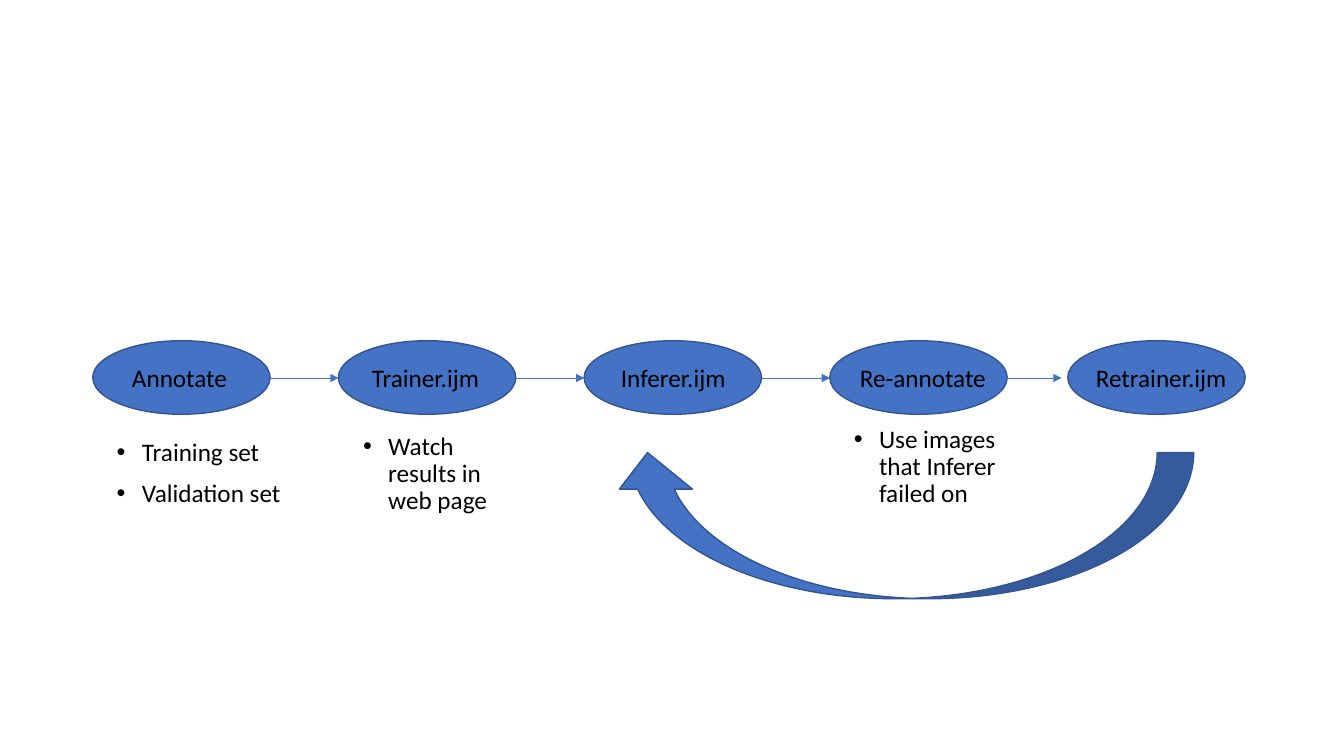
from dataclasses import dataclass

from lxml import etree
from pptx import Presentation
from pptx import util as u
from pptx.dml.color import RGBColor
from pptx.enum import shapes, text
from pptx.oxml.ns import qn

HUES = {"fill": "4472C4", "edge": "325491", "text": "000000"}
FONT = "Calibri"
WIDE, HIGH = 13.33, 7.5
COLS = ROWS = 100

OVAL_TOP, OVAL_W, OVAL_H = 45.07, 13.2, 9.73
FIRST, PITCH = 6.9, 18.28
MID, LINK_W = 50, 5.1
LABEL_H, LIST_H = 5.33, 25.73


def col(n: float) -> int:
    return u.Inches(n * WIDE / COLS)


def row(n: float) -> int:
    return u.Inches(n * HIGH / ROWS)


@dataclass
class Box:
    """An area in grid columns and rows."""
    left: float
    top: float
    wide: float
    high: float

    def place(self) -> tuple:
        return col(self.left), row(self.top), col(self.wide), row(self.high)


@dataclass
class Step:
    name: str
    left: float
    label: Box


@dataclass
class Notes:
    items: list
    box: Box


STEPS = [
    Step("Annotate", FIRST, Box(9.08, 47.2, 9, LABEL_H)),
    Step("Trainer.ijm", FIRST + PITCH, Box(26.93, 47.2, 10.73, LABEL_H)),
    Step("Inferer.ijm", FIRST + 2 * PITCH, Box(45.46, 47.2, 10.73, LABEL_H)),
    Step("Re-annotate", FIRST + 3 * PITCH, Box(63.24, 47.2, 11.85, LABEL_H)),
    Step("Retrainer.ijm", 79.45, Box(80.8, 47.33, 12.08, LABEL_H)),
]
LINKS = [step.left + OVAL_W for step in STEPS[:3]] + [73.89]
WATCH = Notes(["Watch results in web page"], Box(26.26, 56.67, 12.08, LIST_H))
REUSE = Notes(["Use images that Inferer failed on"],
              Box(62.79, 55.73, 12.08, LIST_H))
SETS = Notes(["Training set", "Validation set"],
             Box(7.95, 57.47, 13.8, LIST_H))
LOOP = Box(45.46, 59.87, 43.36, 19.33)


def hue(name: str) -> RGBColor:
    return RGBColor.from_string(HUES[name])


def style(para) -> None:
    para.font.size = u.Pt(18)
    para.font.name = FONT
    para.font.color.rgb = hue("text")


def draw_shape(slide, kind, box: Box):
    shape = slide.shapes.add_shape(kind, *box.place())
    shape.shadow.inherit = False
    shape.fill.solid()
    shape.fill.fore_color.rgb = hue("fill")
    shape.line.color.rgb = hue("edge")
    shape.line.width = u.Pt(1)
    return shape


def draw_link(slide, left: float) -> None:
    link = slide.shapes.add_connector(
        shapes.MSO_CONNECTOR.STRAIGHT,
        col(left), row(MID), col(left + LINK_W), row(MID))
    link.line.color.rgb = hue("fill")
    link.line.width = u.Pt(0.5)
    etree.SubElement(link.line._get_or_add_ln(), qn("a:tailEnd"),
                     type="triangle")
    etree.SubElement(link._element.spPr, qn("a:effectLst"))


def draw_label(slide, step: Step) -> None:
    frame = slide.shapes.add_textbox(*step.label.place()).text_frame
    frame.word_wrap = True
    frame.auto_size = text.MSO_AUTO_SIZE.SHAPE_TO_FIT_TEXT
    frame.text = step.name
    style(frame.paragraphs[0])


def fill_list(shape, notes: Notes) -> None:
    shape.left, shape.top, shape.width, shape.height = notes.box.place()
    frame = shape.text_frame
    frame.word_wrap = True
    frame.auto_size = text.MSO_AUTO_SIZE.NONE
    frame.text = "\n".join(notes.items)
    for para in frame.paragraphs:
        style(para)
        para.line_spacing = 0.9
        para.space_before = u.Pt(10)
        props = para._p.get_or_add_pPr()
        props.set("marL", str(u.Inches(0.25)))
        props.set("indent", str(-u.Inches(0.25)))
        etree.SubElement(props, qn("a:buFont"), typeface="Arial")
        etree.SubElement(props, qn("a:buChar"), char="•")


def draw_list(slide, notes: Notes) -> None:
    fill_list(slide.shapes.add_textbox(*notes.box.place()), notes)


def main() -> None:
    deck = Presentation()
    deck.slide_width, deck.slide_height = u.Inches(WIDE), u.Inches(HIGH)
    slide = deck.slides.add_slide(deck.slide_layouts[1])
    title = slide.shapes.title._element
    title.getparent().remove(title)

    fill_list(slide.placeholders[1], WATCH)
    for step in STEPS:
        draw_shape(slide, shapes.MSO_SHAPE.OVAL,
                   Box(step.left, OVAL_TOP, OVAL_W, OVAL_H))
    for left in LINKS:
        draw_link(slide, left)
    for step in STEPS:
        draw_label(slide, step)
    draw_list(slide, REUSE)
    loop = draw_shape(slide, shapes.MSO_SHAPE.CURVED_UP_ARROW, LOOP)
    loop._element.spPr.xfrm.set("flipH", "1")
    draw_list(slide, SETS)
    deck.save("out.pptx")


if __name__ == "__main__":
    main()
